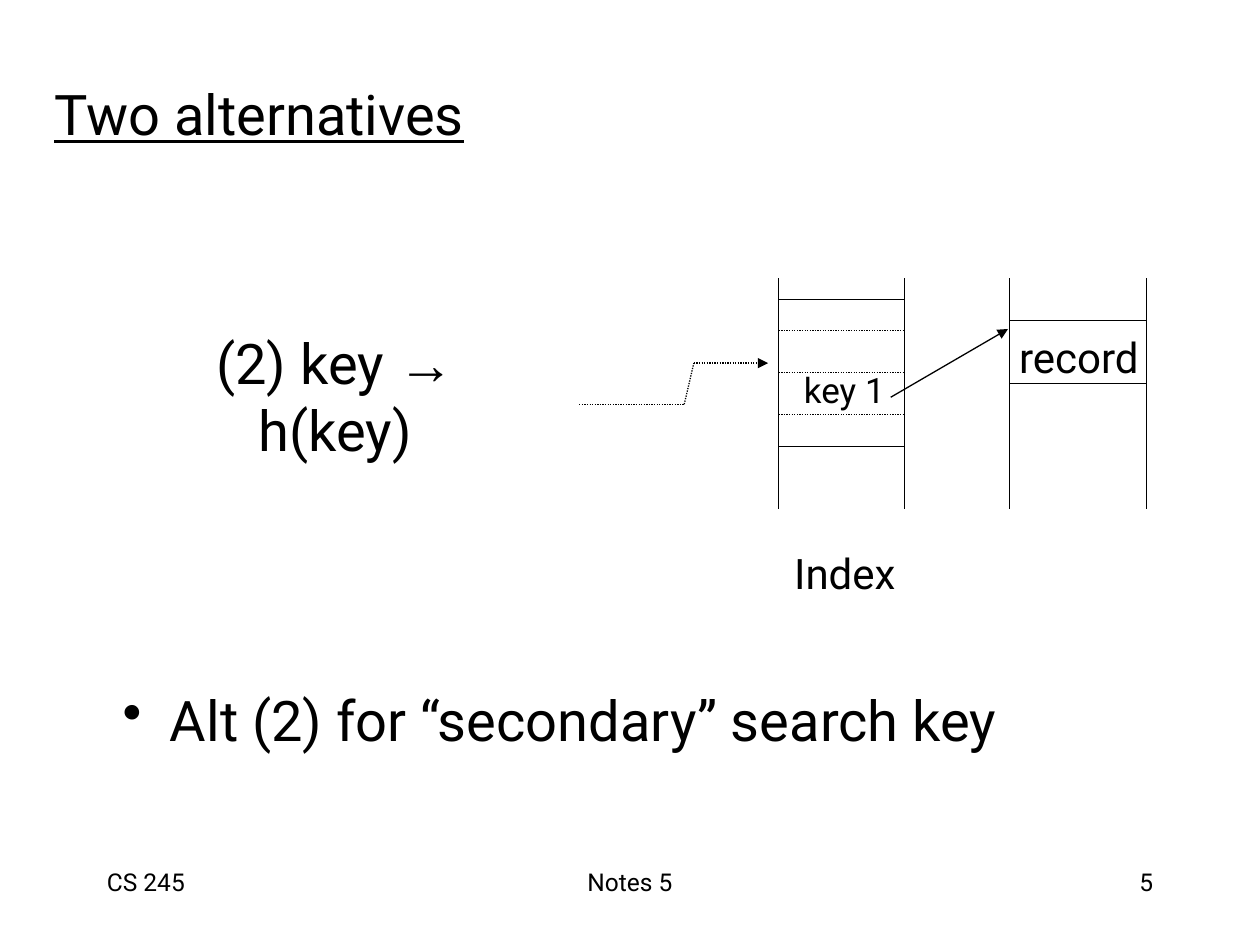
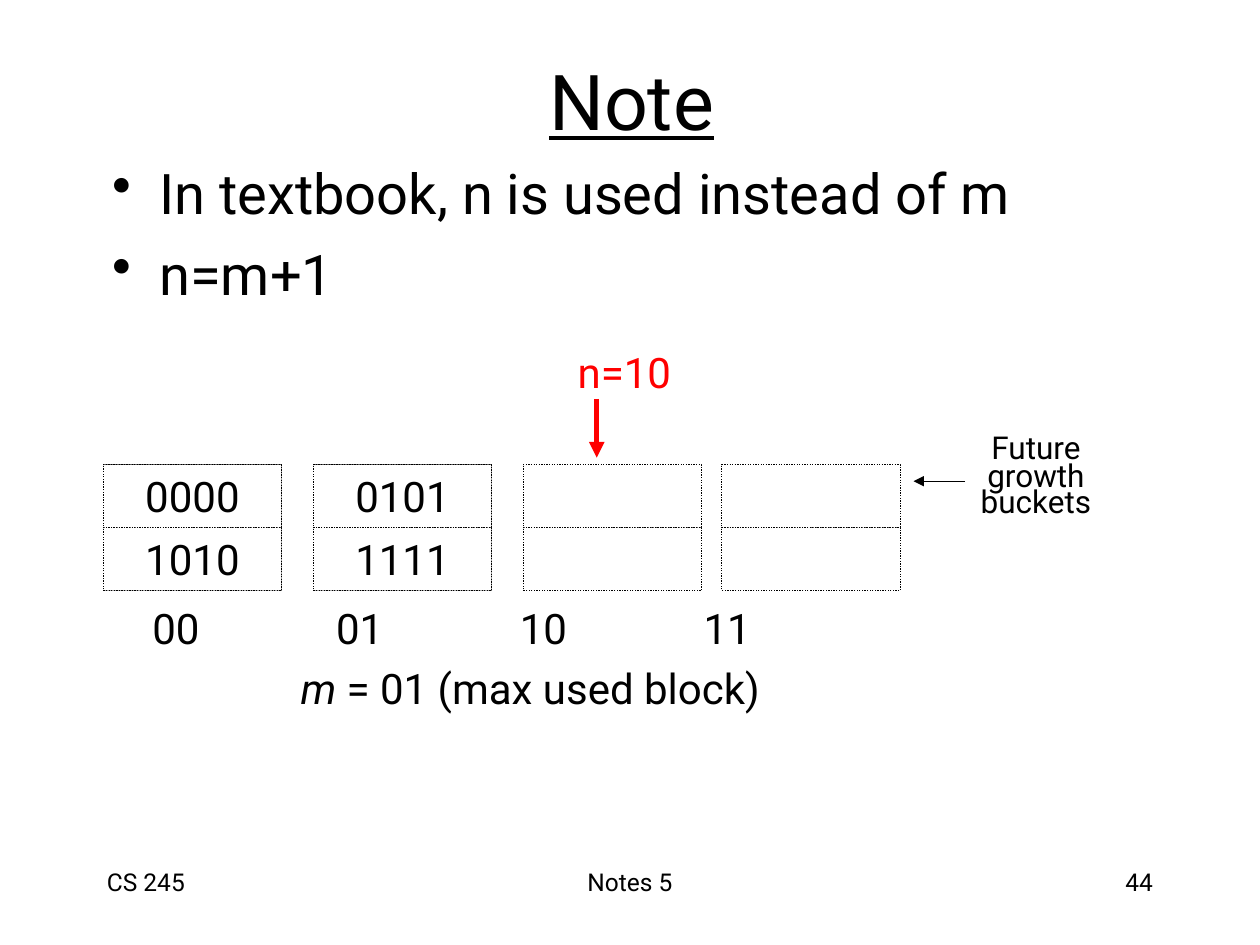
"""Build two lecture slides on hash index alternatives and linear hashing notation."""
from dataclasses import dataclass

import pptx
import pptx.dml.color
import pptx.enum.dml
import pptx.enum.shapes
import pptx.enum.text
import pptx.oxml
import pptx.oxml.ns
import pptx.util

Pt = pptx.util.Pt
qn = pptx.oxml.ns.qn
ALIGN = pptx.enum.text.PP_ALIGN
ANCHOR = pptx.enum.text.MSO_ANCHOR
DOT = pptx.enum.dml.MSO_LINE.ROUND_DOT


@dataclass(frozen=True)
class Theme:
    ink: str = "000000"
    paper: str = "FFFFFF"
    accent: str = "FF0000"
    font: str = "Roboto"
    symbol_font: str = "Arial"
    heading: int = 44
    body: int = 32
    label: int = 24
    key: int = 20
    remark: int = 18
    footer: int = 14
    thin: float = 0.74
    thick: float = 3
    indent: float = 27


T = Theme()

FOOTER_TOP, FOOTER_HEIGHT = 492, 36
FOOTERS = [("CS 245", 54, 150, ALIGN.LEFT), ("Notes 5", 246, 228, ALIGN.CENTER)]
NUMBER_LEFT, NUMBER_WIDTH = 516, 150

HASH_PATH = [(331, 231), (391, 231), (396.5, 207.5), (439, 207.5)]
COLUMN_TOP, COLUMN_BOTTOM = 159, 291
INDEX = {"left": 445, "right": 517, "solid": [171, 255], "dotted": [189, 213, 237]}
RECORDS = {"left": 577, "right": 655, "solid": [183, 219], "dotted": []}
RECORD_POINTER = [(509, 227), (576, 188)]
DIAGRAM_LABELS = [
    ("Index", (443.5, 309, 78.5, 36), T.label),
    ("record", (572, 186, 89, 36), T.label),
    ("key 1", (451, 207, 63, 31), T.key),
]

BUCKETS = [(59, ["0000", "1010"]), (179, ["0101", "1111"]), (299, ["", ""]), (412.5, ["", ""])]
BUCKET_TOP, CELL_WIDTH, CELL_HEIGHT = 265.5, 102, 36
BUCKET_NAMES, NAME_STEP = ["00", "01", "10", "11"], 105
FUTURE_ARROW = [(551.5, 275), (522, 275)]
N_ARROW = [(341, 228), (341, 261.5)]


def rgb(value):
    return pptx.dml.color.RGBColor.from_string(value)


def style_line(line, color=T.ink, width=T.thin, dash=None):
    line.color.rgb = rgb(color)
    line.width = Pt(width)
    if dash:
        line.dash_style = dash


def write(shape, paragraphs, size, align=ALIGN.LEFT, anchor=ANCHOR.TOP, wrap=True,
          color=T.ink, underline=None):
    tf = shape.text_frame
    tf.word_wrap = wrap
    tf.vertical_anchor = anchor
    for i, runs in enumerate(paragraphs):
        p = tf.paragraphs[0] if i == 0 else tf.add_paragraph()
        p.alignment = align
        for run in [runs] if isinstance(runs, str) else runs:
            text, font, italic = (run, T.font, None) if isinstance(run, str) else run
            r = p.add_run()
            r.text = text
            r.font.name, r.font.size = font, Pt(size)
            r.font.italic, r.font.underline = italic, underline
            r.font.color.rgb = rgb(color)
    return tf


def add_text(s, box, paragraphs, size, **options):
    return write(s.shapes.add_textbox(*map(Pt, box)), paragraphs, size, **options)


def add_centred(s, box, paragraphs, size):
    return add_text(s, box, paragraphs, size, align=ALIGN.CENTER,
                    anchor=ANCHOR.MIDDLE, wrap=False)


def add_bullets(s, box, items):
    for p in add_text(s, box, items, T.body).paragraphs:
        p.space_before = Pt(8)
        pPr = p._p.get_or_add_pPr()
        pPr.set("marL", str(Pt(T.indent)))
        pPr.set("indent", str(-Pt(T.indent)))
        bullet = pptx.oxml.parse_xml(
            f'<a:buChar xmlns:a="{pptx.oxml.ns.nsdecls("a").split(chr(34))[1]}" char="•"/>')
        pPr.append(bullet)


def add_line(s, start, end, color=T.ink, width=T.thin, dash=None, arrow=False):
    kind = pptx.enum.shapes.MSO_CONNECTOR.STRAIGHT
    c = s.shapes.add_connector(kind, *map(Pt, (*start, *end)))
    style_line(c.line, color, width, dash)
    spPr = c._element.spPr
    if arrow:
        tail = spPr.find(qn("a:ln")).makeelement(qn("a:tailEnd"), {"type": "triangle"})
        spPr.find(qn("a:ln")).append(tail)
    spPr.append(spPr.makeelement(qn("a:effectLst"), {}))


def add_rect(s, box, dash=None):
    sp = s.shapes.add_shape(pptx.enum.shapes.MSO_SHAPE.RECTANGLE, *map(Pt, box))
    sp.shadow.inherit = False
    sp.fill.solid()
    sp.fill.fore_color.rgb = rgb(T.paper)
    style_line(sp.line, dash=dash)
    return sp


def add_column(s, column):
    left, right = column["left"], column["right"]
    for x in (left, right):
        add_line(s, (x, COLUMN_TOP), (x, COLUMN_BOTTOM))
    for key, dash in (("solid", None), ("dotted", DOT)):
        for y in column[key]:
            add_line(s, (left, y), (right, y), dash=dash)


def add_bucket(s, left, values):
    if any(values):
        add_rect(s, (left, BUCKET_TOP, CELL_WIDTH, CELL_HEIGHT * len(values)))
    for row, value in enumerate(values):
        top = BUCKET_TOP + row * CELL_HEIGHT
        sp = add_rect(s, (left, top, CELL_WIDTH, CELL_HEIGHT), DOT)
        if value:
            write(sp, [value], T.label, align=ALIGN.CENTER, anchor=ANCHOR.MIDDLE, wrap=False)


def add_bucket_names(s):
    tf = add_text(s, (80, 341, 441, 35), ["\t".join(BUCKET_NAMES)], T.label)
    pPr = tf.paragraphs[0]._p.get_or_add_pPr()
    tabs = pPr.makeelement(qn("a:tabLst"), {})
    for i in range(1, len(BUCKET_NAMES)):
        stop = {"pos": str(Pt(i * NAME_STEP)), "algn": "l"}
        tabs.append(tabs.makeelement(qn("a:tab"), stop))
    pPr.append(tabs)


def new_slide(prs, number, title, box, size, **options):
    s = prs.slides.add_slide(prs.slide_layouts[6])
    s.background.fill.solid()
    s.background.fill.fore_color.rgb = rgb(T.paper)
    for text, left, width, align in FOOTERS + [(number, NUMBER_LEFT, NUMBER_WIDTH, ALIGN.RIGHT)]:
        add_text(s, (left, FOOTER_TOP, width, FOOTER_HEIGHT), [text], T.footer, align=align)
    add_text(s, box, [title], size, underline=True, **options)
    return s


def build_alternatives(prs):
    s = new_slide(prs, "5", "Two alternatives", (24, 42, 612, 54), T.body)
    tf = add_text(s, (69, 203, 245, 46), [["(2) key ", ("→", T.symbol_font, None), " h(key)"]],
                  T.body, align=ALIGN.CENTER, anchor=ANCHOR.MIDDLE)
    tf.margin_left = tf.margin_right = Pt(36)
    for i, (start, end) in enumerate(zip(HASH_PATH, HASH_PATH[1:])):
        add_line(s, start, end, dash=DOT, arrow=i == len(HASH_PATH) - 2)
    for column in (INDEX, RECORDS):
        add_column(s, column)
    for text, box, size in DIAGRAM_LABELS:
        add_centred(s, box, [text], size)
    add_line(s, *RECORD_POINTER, arrow=True)
    add_bullets(s, (63, 388, 612, 54), ["Alt (2) for “secondary” search key"])


def build_note(prs):
    s = new_slide(prs, "44", "Note", (55, 33, 612, 48), T.heading,
                  align=ALIGN.CENTER, anchor=ANCHOR.MIDDLE)
    add_bullets(s, (57, 87, 612, 97), ["In textbook, n is used instead of m", "n=m+1"])
    for left, values in BUCKETS:
        add_bucket(s, left, values)
    add_bucket_names(s)
    add_centred(s, (160.5, 375, 285, 36),
                [[("m", T.font, True), " = 01 (max used block)"]], T.label)
    future = add_centred(s, (552, 241, 80, 59), ["Future", "growth", "buckets"], T.remark)
    for p in future.paragraphs[1:]:
        p.line_spacing = 0.7
    add_line(s, *FUTURE_ARROW, arrow=True)
    add_text(s, (323, 194.5, 70.5, 36), ["n=10"], T.label, wrap=False, color=T.accent)
    add_line(s, *N_ARROW, color=T.accent, width=T.thick, arrow=True)


prs = pptx.Presentation()
prs.slide_width, prs.slide_height = Pt(720), Pt(540)
build_alternatives(prs)
build_note(prs)
prs.save("out.pptx")
